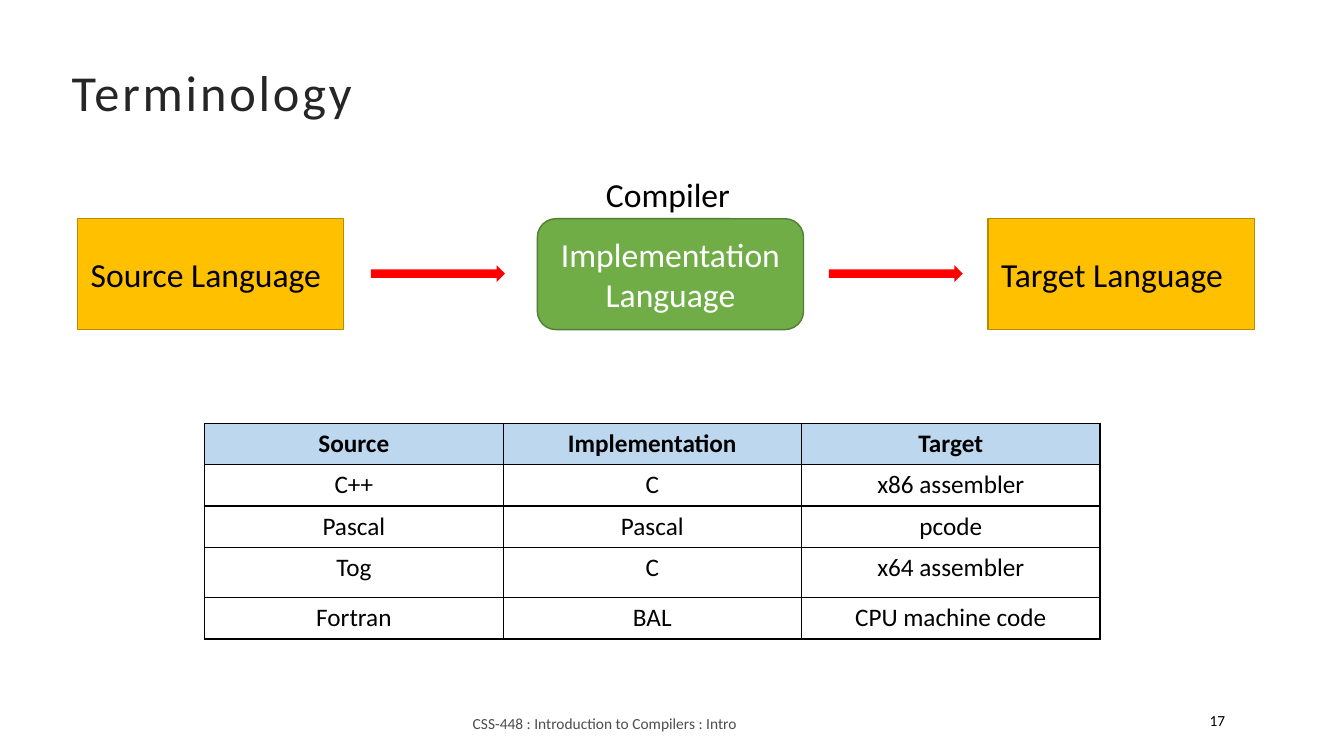
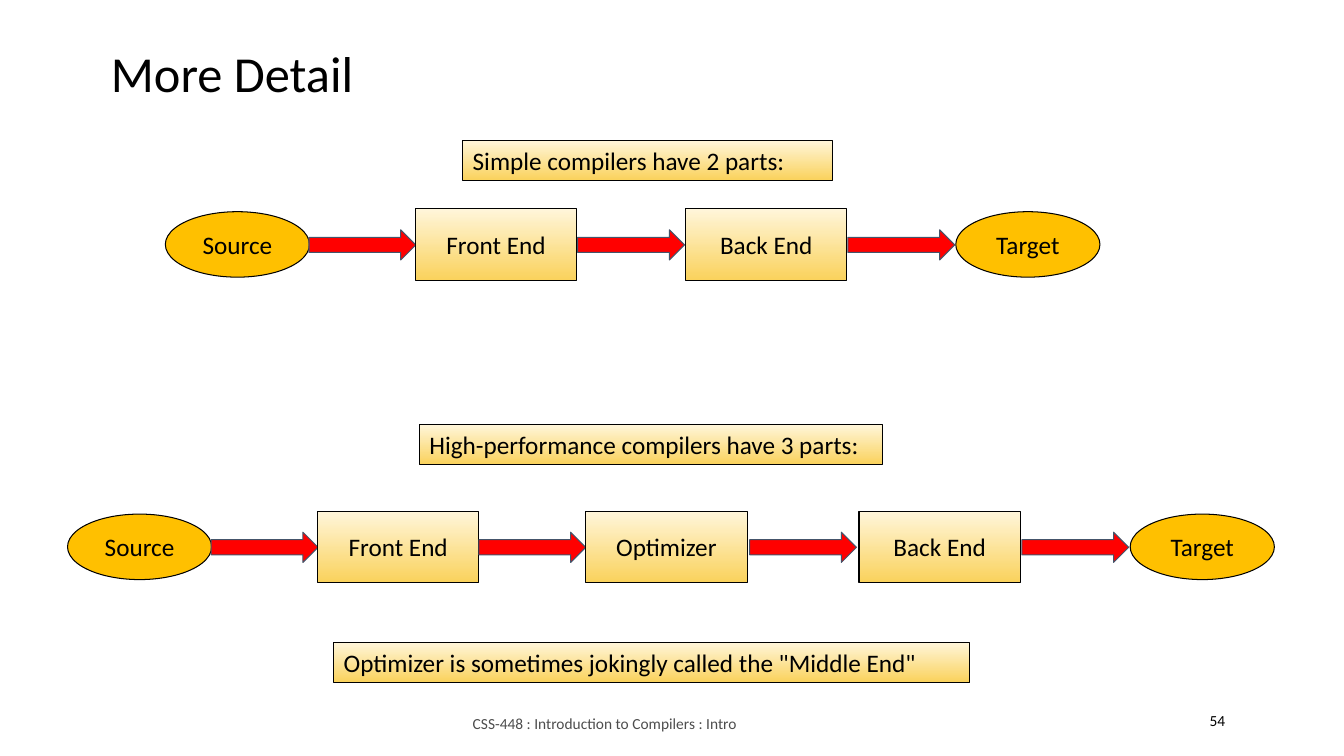
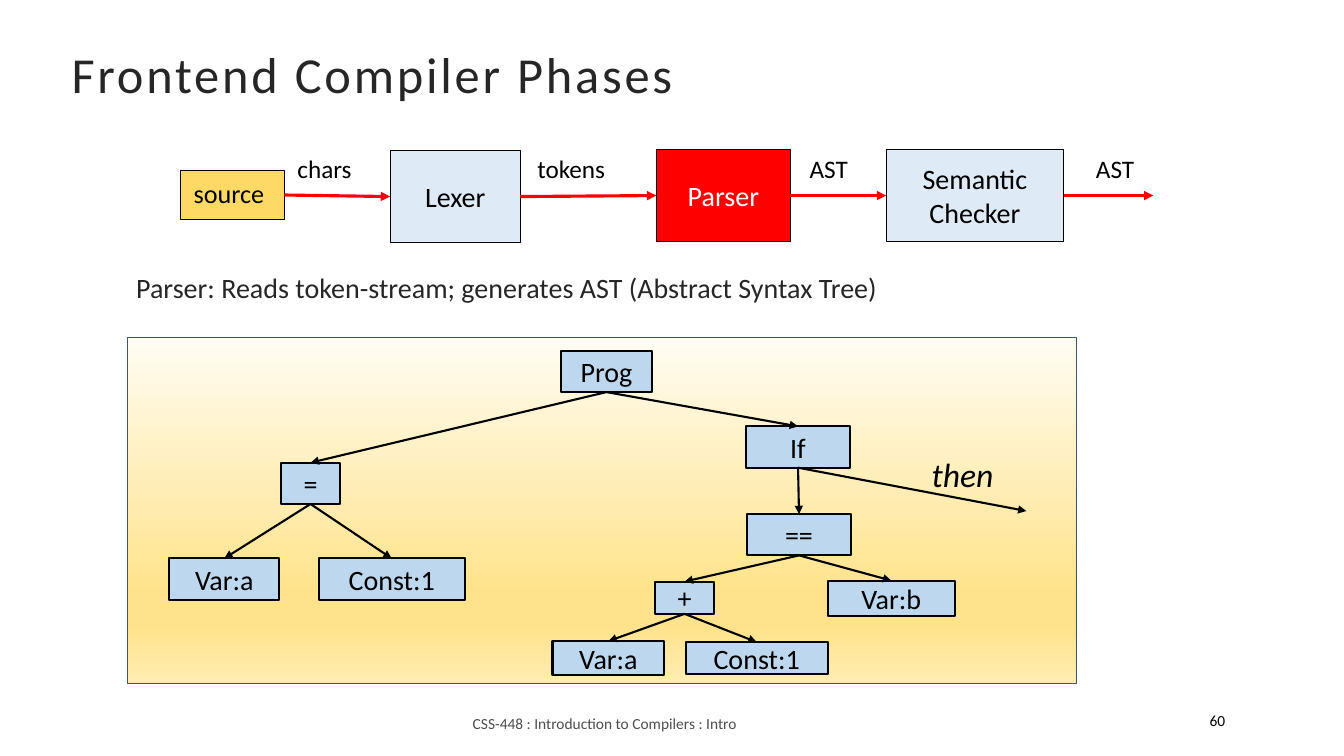
from lxml.etree import SubElement
from pptx import Presentation
from pptx.dml.color import RGBColor
from pptx.enum.shapes import MSO_CONNECTOR, MSO_SHAPE
from pptx.enum.text import MSO_ANCHOR, PP_ALIGN
from pptx.oxml.ns import qn
from pptx.util import Inches, Pt

FONT = "Calibri"
BLACK = RGBColor(0x00, 0x00, 0x00)
WHITE = RGBColor(0xFF, 0xFF, 0xFF)
INK = RGBColor(0x26, 0x26, 0x26)
GREY = RGBColor(0x4D, 0x4D, 0x4D)
RED = RGBColor(0xFF, 0x00, 0x00)
AMBER = RGBColor(0xFF, 0xC0, 0x00)
DARK_AMBER = RGBColor(0xBA, 0x8C, 0x00)
YELLOW = RGBColor(0xFF, 0xD9, 0x66)
GREEN = RGBColor(0x70, 0xAD, 0x47)
DARK_GREEN = RGBColor(0x51, 0x7E, 0x33)
BLUE = RGBColor(0xBD, 0xD7, 0xEE)
PALE_BLUE = RGBColor(0xDE, 0xEB, 0xF7)
SLATE = RGBColor(0x44, 0x54, 0x6A)
GOLD_FADE = [(0, "FFF6DB"), (100, "FAD25C")]
PANEL_FADE = [(0, "FFFCF2"), (74, "FFE38C"), (83, "FFE38C"), (100, "FFECB2")]
THIN = (BLACK, 0.75)
WIDE = (0.13, 0.07)
NARROW = (0.1, 0.05)
LEFT, CENTER = PP_ALIGN.LEFT, PP_ALIGN.CENTER
TOP, MIDDLE = MSO_ANCHOR.TOP, MSO_ANCHOR.MIDDLE


def add_box(s, kind, at, text="", size=18, color=BLACK, fill=None, line=None,
            align=CENTER, anchor=MIDDLE, inset=WIDE, italic=False):
    box = [Inches(v) for v in at]
    sp = s.shapes.add_shape(kind, *box) if kind else s.shapes.add_textbox(*box)
    sp.shadow.inherit = False
    if fill is None:
        sp.fill.background()
    elif isinstance(fill, RGBColor):
        sp.fill.solid()
        sp.fill.fore_color.rgb = fill
    else:
        sp.fill.gradient()
        sp.fill.gradient_angle = 270
        stops = sp._element.spPr.find(qn("a:gradFill")).find(qn("a:gsLst"))
        stops.clear()
        for position, rgb in fill:
            stop = SubElement(stops, qn("a:gs"), pos=str(position * 1000))
            SubElement(stop, qn("a:srgbClr"), val=rgb)
    if line:
        sp.line.color.rgb = line[0]
        sp.line.width = Pt(line[1])
    else:
        sp.line.fill.background()
    tf = sp.text_frame
    tf.word_wrap = True
    tf.vertical_anchor = anchor
    tf.margin_left = tf.margin_right = Inches(inset[0])
    tf.margin_top = tf.margin_bottom = Inches(inset[1])
    for i, words in enumerate(text.split("\n") if text else []):
        p = tf.add_paragraph() if i else tf.paragraphs[0]
        p.alignment = align
        r = p.add_run()
        r.text = words
        r.font.name = FONT
        r.font.size = Pt(size)
        r.font.color.rgb = color
        r.font.italic = italic
    return sp


def add_arrow(s, start, target, color, width, sites):
    end = [0, 0] if hasattr(target, "shape_id") else [Inches(v) for v in target]
    c = s.shapes.add_connector(MSO_CONNECTOR.STRAIGHT, 0, 0, *end)
    c.begin_connect(start, sites[0])
    if hasattr(target, "shape_id"):
        c.end_connect(target, sites[1])
    c.line.color.rgb = color
    c.line.width = Pt(width)
    props = c._element.spPr
    SubElement(props.find(qn("a:ln")), qn("a:tailEnd"), type="triangle")
    SubElement(props, qn("a:effectLst"))


prs = Presentation()
prs.slide_width = Inches(13.33)
prs.slide_height = Inches(7.5)

slides = []
for title, at, color, spacing, leading, anchor, inset, number in [
    ("Terminology", (0.58, 0.58, 10.92, 0.73), INK, 200, 0.9, MIDDLE, WIDE, "17"),
    ("More Detail", (1, 0.37, 10.45, 0.71), BLACK, 0, 1.0, TOP, NARROW, "54"),
    ("Frontend Compiler Phases", (0.58, 0.4, 9.97, 0.73), INK, 200, 0.9, MIDDLE, WIDE, "60"),
]:
    s = prs.slides.add_slide(prs.slide_layouts[5])
    sp = s.shapes.title
    sp.left, sp.top, sp.width, sp.height = [Inches(v) for v in at]
    tf = sp.text_frame
    tf.vertical_anchor = anchor
    tf.margin_left = tf.margin_right = Inches(inset[0])
    tf.margin_top = tf.margin_bottom = Inches(inset[1])
    p = tf.paragraphs[0]
    p.alignment = LEFT
    p.line_spacing = leading
    r = p.add_run()
    r.text = title
    r.font.name = FONT
    r.font.size = Pt(36)
    r.font.color.rgb = color
    r._r.get_or_add_rPr().set("spc", str(spacing))
    add_box(s, None, (4.59, 7, 4.15, 0.35), "CSS-448 : Introduction to Compilers : Intro",
            11, GREY, align=LEFT, inset=NARROW)
    add_box(s, MSO_SHAPE.OVAL, (11.77, 6.95, 0.88, 0.4), number, 11,
            align=LEFT, anchor=TOP, inset=NARROW)
    slides.append(s)
terminology, detail, phases = slides

for left, text in [(0.77, "Source Language"), (9.8, "Target Language")]:
    add_box(terminology, MSO_SHAPE.RECTANGLE, (left, 2.17, 2.64, 1.1), text, 24,
            fill=AMBER, line=(DARK_AMBER, 1), align=LEFT)
add_box(terminology, MSO_SHAPE.ROUNDED_RECTANGLE, (5.33, 2.17, 2.64, 1.1),
        "Implementation Language", 24, WHITE, GREEN, (DARK_GREEN, 1))
for left in (3.68, 8.22):
    add_box(terminology, MSO_SHAPE.RIGHT_ARROW, (left, 2.63, 1.33, 0.17), fill=RED)
add_box(terminology, None, (5.88, 1.66, 2.33, 0.4), "Compiler", 24, align=LEFT, anchor=TOP)

rows = [
    ("Source", "Implementation", "Target"),
    ("C++", "C", "x86 assembler"),
    ("Pascal", "Pascal", "pcode"),
    ("Tog", "C", "x64 assembler"),
    ("Fortran", "BAL", "CPU machine code"),
]
table = terminology.shapes.add_table(
    5, 3, Inches(2.03), Inches(4.2), Inches(8.89), Inches(2.14)).table
table.horz_banding = False
for column in table.columns:
    column.width = Inches(2.96)
for i, (row, height) in enumerate(zip(rows, (0.41, 0.41, 0.41, 0.5, 0.41))):
    table.rows[i].height = Inches(height)
    for j, text in enumerate(row):
        cell = table.cell(i, j)
        cell.margin_left = cell.margin_right = Inches(0.13)
        cell.margin_top = cell.margin_bottom = Inches(0.05)
        for side in ("a:lnL", "a:lnR", "a:lnT", "a:lnB"):
            border = SubElement(cell._tc.get_or_add_tcPr(), qn(side), w=str(Pt(1)))
            SubElement(SubElement(border, qn("a:solidFill")), qn("a:srgbClr"), val=str(BLACK))
        if i == 0:
            cell.fill.solid()
            cell.fill.fore_color.rgb = BLUE
        else:
            cell.fill.background()
        p = cell.text_frame.paragraphs[0]
        p.alignment = CENTER
        r = p.add_run()
        r.text = text
        r.font.name = FONT
        r.font.size = Pt(18)
        r.font.bold = i == 0
        r.font.color.rgb = BLACK

for top, stages in [
    (2.07, [("Source", 1.64), ("Front End", 4.12), ("Back End", 6.8), ("Target", 9.48)]),
    (5.07, [("Source", 0.67), ("Front End", 3.15), ("Optimizer", 5.81),
            ("Back End", 8.52), ("Target", 11.21)]),
]:
    right = None
    for text, left in stages:
        if right:
            add_box(detail, MSO_SHAPE.RIGHT_ARROW, ((right + left - 1.06) / 2, top + 0.21, 1.06, 0.3),
                    fill=RED, line=(SLATE, 0.75))
        if text in ("Source", "Target"):
            add_box(detail, MSO_SHAPE.OVAL, (left, top + 0.03, 1.43, 0.65), text,
                    fill=AMBER, line=THIN)
            right = left + 1.43
        else:
            add_box(detail, MSO_SHAPE.RECTANGLE, (left, top, 1.6, 0.71), text,
                    fill=GOLD_FADE, line=THIN)
            right = left + 1.6
for left, top, width, text in [
    (4.59, 1.39, 3.67, "Simple compilers have 2 parts:"),
    (4.16, 4.21, 4.59, "High-performance compilers have 3 parts:"),
    (3.31, 6.37, 6.31, 'Optimizer is sometimes jokingly called the "Middle End"'),
]:
    add_box(detail, MSO_SHAPE.RECTANGLE, (left, top, width, 0.4), text,
            fill=GOLD_FADE, line=THIN, align=LEFT, anchor=TOP, inset=NARROW)

add_box(phases, MSO_SHAPE.RECTANGLE, (1.26, 3.35, 9.42, 3.43),
        fill=PANEL_FADE, line=(SLATE, 0.75))
add_box(phases, None, (1.22, 2.61, 9.58, 0.71),
        "Parser: Reads token-stream; generates AST (Abstract Syntax Tree)",
        20, INK, align=LEFT, anchor=TOP)

source = add_box(phases, MSO_SHAPE.RECTANGLE, (1.79, 1.69, 1.03, 0.49), "source", 18.7,
                 fill=YELLOW, line=THIN, align=LEFT, anchor=TOP)
chain = [source]
for at, text, color, fill in [
    ((3.87, 1.49, 1.29, 0.92), "Lexer", BLACK, PALE_BLUE),
    ((6.51, 1.48, 1.33, 0.92), "Parser", WHITE, RED),
    ((8.79, 1.48, 1.76, 0.92), "Semantic\nChecker", BLACK, PALE_BLUE),
]:
    chain.append(add_box(phases, MSO_SHAPE.RECTANGLE, at, text, 20, color, fill, THIN))
for start, target in zip(chain, chain[1:] + [(11.44, 1.94)]):
    add_arrow(phases, start, target, RED, 2.25, (3, 1))
for left, text in [(2.82, "chars"), (5.2, "tokens"), (7.9, "AST"), (10.74, "AST")]:
    add_box(phases, None, (left, 1.45, 1.03, 0.49), text, align=LEFT, anchor=TOP)

nodes = {}
for name, text, at in [
    ("program", "Prog", (5.56, 3.48, 0.91, 0.41)),
    ("assign", "=", (2.79, 4.59, 0.58, 0.41)),
    ("assign target", "Var:a", (1.68, 5.54, 1.09, 0.41)),
    ("assign value", "Const:1", (3.16, 5.54, 1.45, 0.41)),
    ("if", "If", (7.4, 4.23, 1.03, 0.41)),
    ("equals", "==", (7.41, 5.1, 1.03, 0.41)),
    ("plus", "+", (6.5, 5.77, 0.58, 0.32)),
    ("plus left", "Var:a", (5.48, 6.36, 1.11, 0.34)),
    ("plus right", "Const:1", (6.8, 6.37, 1.41, 0.32)),
    ("equals right", "Var:b", (8.21, 5.76, 1.26, 0.35)),
]:
    nodes[name] = add_box(phases, MSO_SHAPE.RECTANGLE, at, text, 20,
                          fill=BLUE, line=(BLACK, 1.5))
for parent, children in [
    ("program", ("assign", "if")),
    ("assign", ("assign target", "assign value")),
    ("if", ("equals",)),
    ("equals", ("plus", "equals right")),
    ("plus", ("plus left", "plus right")),
]:
    for child in children:
        add_arrow(phases, nodes[parent], nodes[child], BLACK, 1.5, (2, 0))
add_arrow(phases, nodes["if"], (10.18, 5.07), BLACK, 1.5, (2, 0))
add_box(phases, None, (9.11, 4.37, 0.89, 0.55), "then", 24, align=LEFT, anchor=TOP,
        inset=(0.13, 0.13), italic=True)

prs.save("out.pptx")
